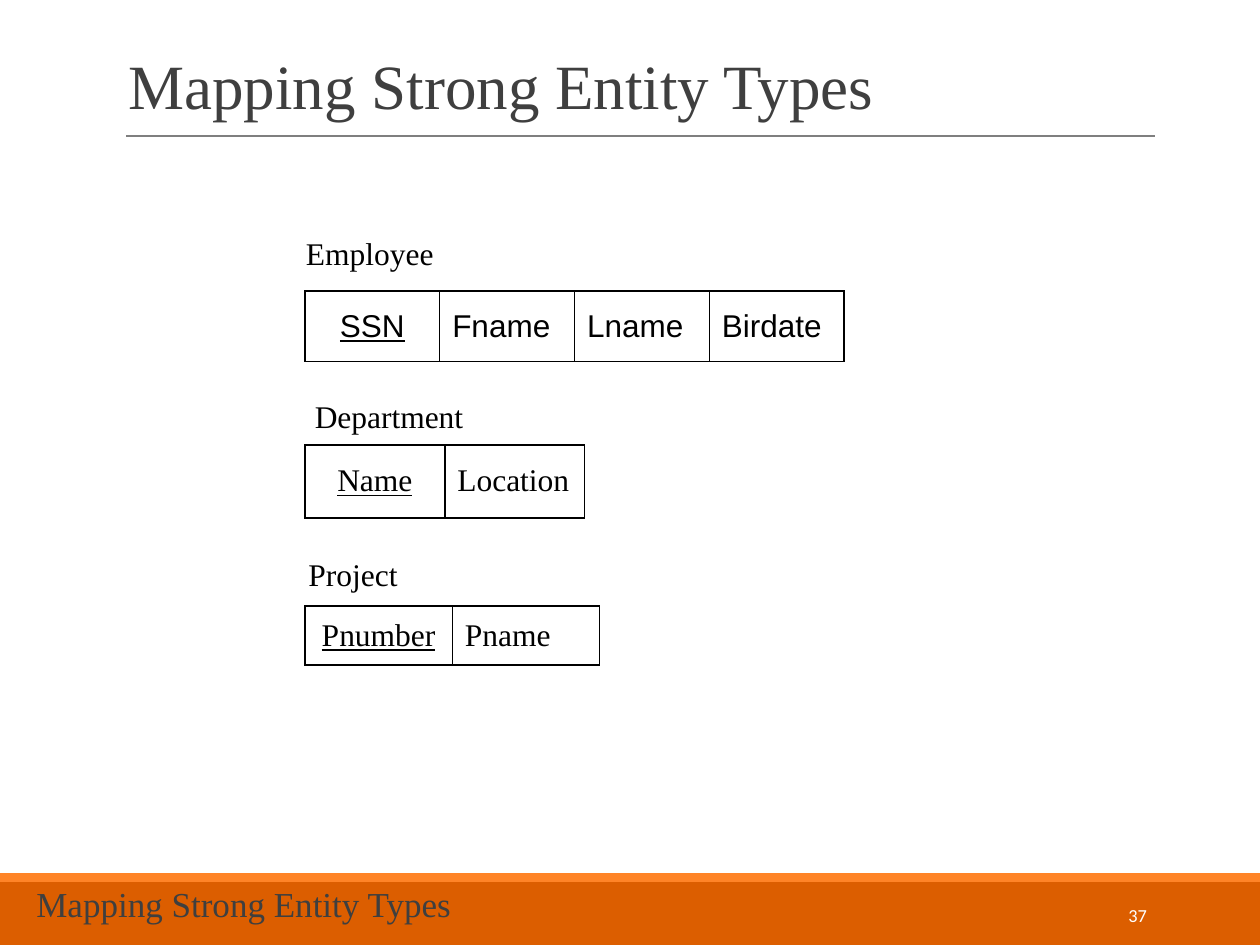
from dataclasses import dataclass

from lxml import etree
from pptx import Presentation
from pptx.dml.color import RGBColor
from pptx.enum.shapes import MSO_CONNECTOR, MSO_SHAPE
from pptx.enum.text import MSO_ANCHOR, MSO_AUTO_SIZE, PP_ALIGN
from pptx.oxml.ns import qn
from pptx.util import Inches, Pt

RECT = MSO_SHAPE.RECTANGLE
STRAIGHT = MSO_CONNECTOR.STRAIGHT
TOP, MIDDLE, BOTTOM = MSO_ANCHOR.TOP, MSO_ANCHOR.MIDDLE, MSO_ANCHOR.BOTTOM
LEFT, CENTER, RIGHT = PP_ALIGN.LEFT, PP_ALIGN.CENTER, PP_ALIGN.RIGHT
NO_FIT = MSO_AUTO_SIZE.NONE
TITLE_ONLY = 5


@dataclass(frozen=True)
class Theme:
    """Colours, fonts and type sizes of the slide."""

    ink: str = "000000"
    heading: str = "3F3F3F"
    rule: str = "7F7F7F"
    band: str = "DC5E00"
    stripe: str = "FF8427"
    light: str = "FFFFFF"
    serif: str = "Times New Roman"
    sans: str = "Arial"
    small_font: str = "Calibri"
    title: float = 36
    footer: float = 20
    body: float = 18
    number: float = 10.5


THEME = Theme()
WIDTH, HEIGHT = 10, 7.5
HEADING = "Mapping Strong Entity Types"
TABLE_LEFT = 2.42
RELATIONS = [
    ("Employee", (2.33, 1.81, 1.42, 0.4), 2.31, 1.07, 0.56, THEME.sans,
     ["SSN", "Fname", "Lname", "Birdate"]),
    ("Department", (2.4, 3.1, 1.56, 0.4), 3.53, 1.11, 0.58, THEME.serif,
     ["Name", "Location"]),
    ("Project", (2.35, 4.36, 1.56, 0.4), 4.81, 1.17, 0.47, THEME.serif,
     ["Pnumber", "Pname"]),
]


def write(tf, text, size=THEME.body, font=THEME.serif, color=THEME.ink,
          align=LEFT, underline=False, spacing=1.0):
    """Write one formatted paragraph into a text frame."""
    p = tf.paragraphs[0]
    p.alignment = align
    p.line_spacing = spacing
    r = p.add_run()
    r.text = text
    r.font.size = Pt(size)
    r.font.name = font
    r.font.bold = False
    r.font.underline = underline
    r.font.color.rgb = RGBColor.from_string(color)


def add_text(slide, text, box, anchor=TOP, **style):
    """Add a wrapping text box."""
    tf = slide.shapes.add_textbox(*map(Inches, box)).text_frame
    tf.word_wrap = True
    tf.vertical_anchor = anchor
    write(tf, text, **style)


def add_band(slide, top, height, color):
    """Add a plain band across the full slide width."""
    sp = slide.shapes.add_shape(RECT, 0, Inches(top), Inches(WIDTH), Inches(height))
    sp.shadow.inherit = False
    sp.fill.solid()
    sp.fill.fore_color.rgb = RGBColor.from_string(color)
    sp.line.fill.background()


def add_rule(slide, left, right, y):
    """Add the thin horizontal line below the title."""
    line = slide.shapes.add_connector(STRAIGHT, *map(Inches, (left, y, right, y)))
    line.line.color.rgb = RGBColor.from_string(THEME.rule)
    line.line.width = Pt(0.75)
    etree.SubElement(line._element.spPr, qn("a:effectLst"))


def set_title(slide):
    """Place and format the title placeholder."""
    sp = slide.shapes.title
    sp.left, sp.top, sp.width, sp.height = map(Inches, (0.92, 0.25, 8.25, 0.77))
    tf = sp.text_frame
    tf.auto_size = NO_FIT
    tf.vertical_anchor = BOTTOM
    write(tf, HEADING, size=THEME.title, color=THEME.heading, spacing=0.85)


def outline_cell(cell):
    """Draw a thin line on all four sides of a cell."""
    tc_pr = cell._tc.get_or_add_tcPr()
    for side in ("a:lnL", "a:lnR", "a:lnT", "a:lnB"):
        ln = etree.SubElement(tc_pr, qn(side), w=str(Pt(1)))
        fill = etree.SubElement(ln, qn("a:solidFill"))
        etree.SubElement(fill, qn("a:srgbClr"), val=THEME.ink)


def add_relation(slide, name, label_box, top, col_width, height, font, fields):
    """Add a relation: its name above a row of fields, with the key underlined."""
    box = (TABLE_LEFT, top, col_width * len(fields), height)
    table = slide.shapes.add_table(1, len(fields), *map(Inches, box)).table
    table.first_row = table.horz_banding = False
    for i, field in enumerate(fields):
        is_key = i == 0
        cell = table.cell(0, i)
        outline_cell(cell)
        cell.fill.background()
        cell.vertical_anchor = MIDDLE
        write(cell.text_frame, field, font=font, underline=is_key,
              align=CENTER if is_key else LEFT)
    add_text(slide, name, label_box)


def main():
    """Build and save the slide."""
    prs = Presentation()
    prs.slide_width, prs.slide_height = Inches(WIDTH), Inches(HEIGHT)
    slide = prs.slides.add_slide(prs.slide_layouts[TITLE_ONLY])
    add_band(slide, 7, 0.5, THEME.band)
    add_band(slide, 6.93, 0.07, THEME.stripe)
    add_rule(slide, 1, 9.17, 1.08)
    set_title(slide)
    add_text(slide, "37", (8.12, 7.06, 1.08, 0.4), anchor=MIDDLE, align=RIGHT,
             size=THEME.number, font=THEME.small_font, color=THEME.light)
    for relation in RELATIONS:
        add_relation(slide, *relation)
    add_text(slide, HEADING, (0.19, 7.01, 8.25, 0.43), size=THEME.footer,
             color=THEME.heading, spacing=0.85)
    prs.save("out.pptx")


if __name__ == "__main__":
    main()
